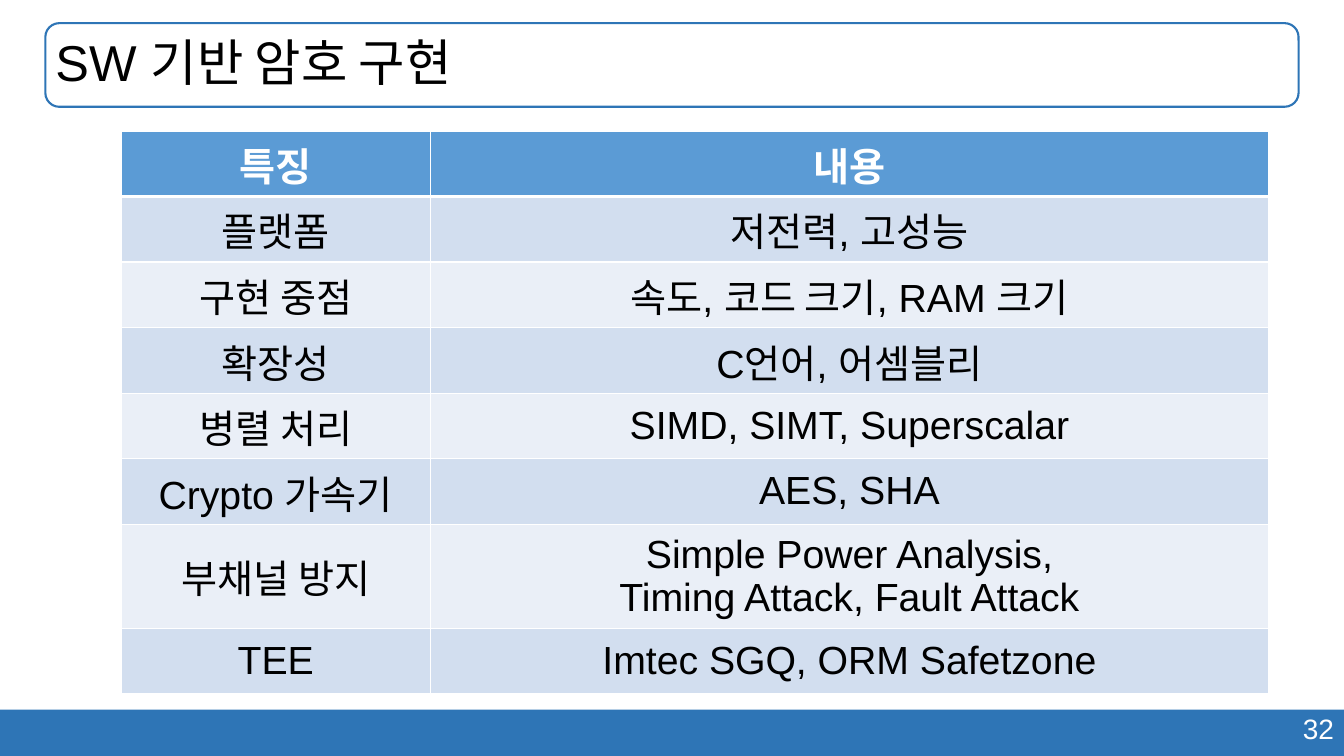
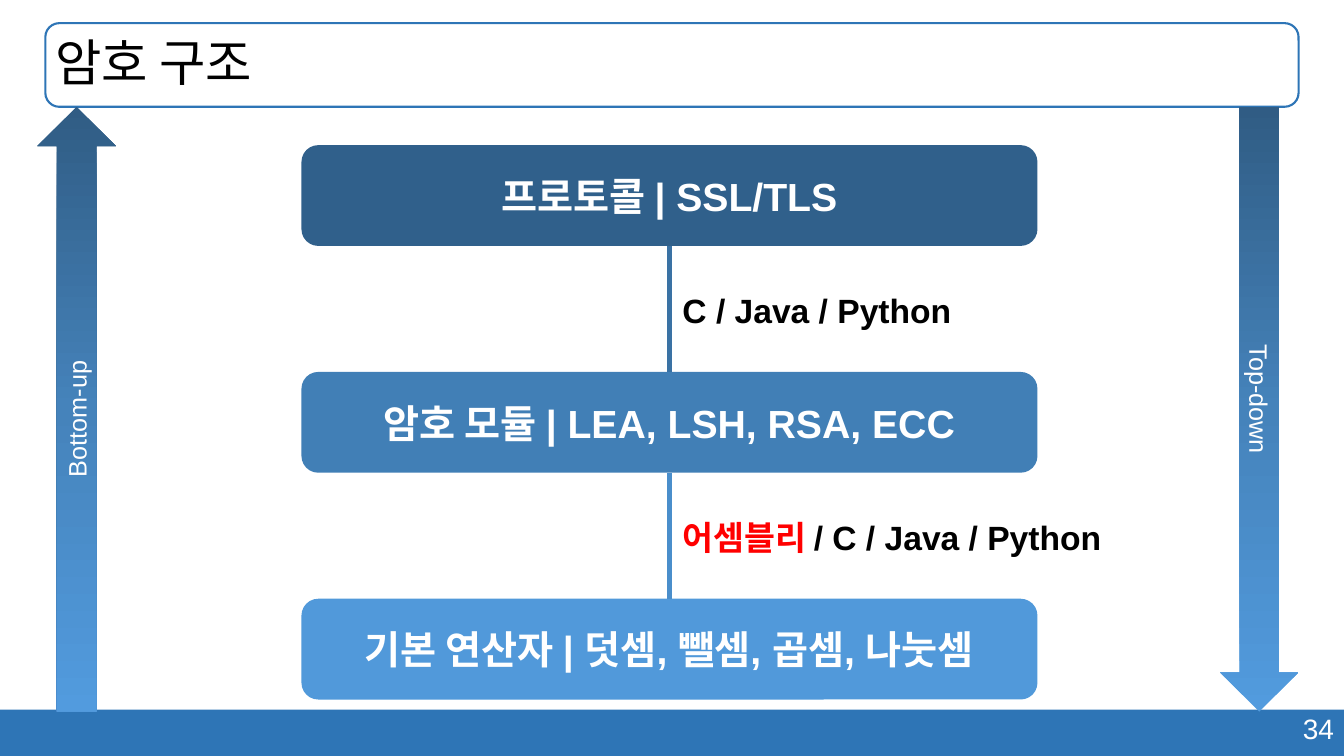
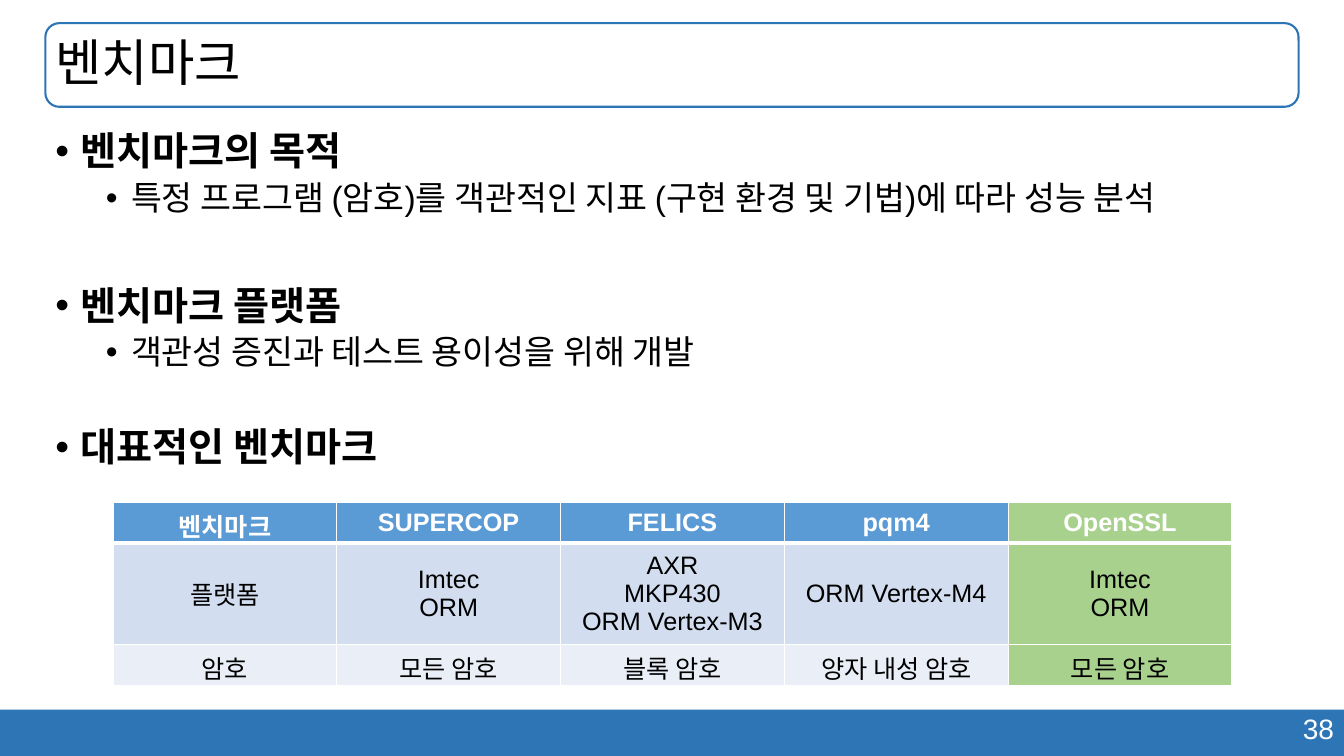
from dataclasses import dataclass
from lxml.etree import SubElement, QName
from pptx import Presentation
from pptx.dml.color import RGBColor as RGB
from pptx.enum.shapes import MSO_SHAPE as Shape, MSO_CONNECTOR as Link
from pptx.enum.text import PP_ALIGN as Align, MSO_ANCHOR as Anchor, MSO_AUTO_SIZE as Fit
from pptx.oxml.ns import qn
from pptx.util import Inches, Pt


@dataclass(frozen=True)
class Theme:
    font: str = "Arial"
    white: str = "FFFFFF"
    black: str = "000000"
    red: str = "FF0000"
    band: str = "2E75B6"
    head: str = "5B9BD5"
    rows: tuple = ("D2DEEF", "EAEFF7")
    mark: str = "A9D18E"
    tiers: tuple = ("30608B", "417FB6", "5199DA")
    links: tuple = ("3A72A4", "4A8ECB")
    fade: tuple = ("305C84", "4583BB", "529BDE")
    title: int = 36
    large: int = 28
    medium: int = 24
    page: int = 20
    small: int = 18


class Deck:
    def __init__(self, theme):
        self.theme = theme
        self.prs = Presentation()
        self.prs.slide_width = Inches(13.33)
        self.prs.slide_height = Inches(7.5)
        self.slide = None

    def style(self, frame, size, color, bold=False, align=Align.LEFT):
        for para in frame.paragraphs:
            para.alignment = align
            for run in para.runs:
                font = run.font
                font.name = self.theme.font
                font.size = Pt(size)
                font.bold = bold
                font.color.rgb = RGB.from_string(color)

    def place(self, item, x, y, w, h):
        item.left, item.top = Inches(x), Inches(y)
        item.width, item.height = Inches(w), Inches(h)

    def page(self, title, number, layout=5):
        t = self.theme
        self.slide = self.prs.slides.add_slide(self.prs.slide_layouts[layout])
        self.shape(Shape.RECTANGLE, 0, 7.04, 13.33, 0.46, t.band)
        self.label([(str(number), t.white)], 9.43, 7.01, 3.9, 0.44, t.page, align=Align.RIGHT)
        edge = self.shape(Shape.ROUNDED_RECTANGLE, 0.45, 0.23, 12.43, 0.83)
        edge.line.color.rgb = RGB.from_string(t.band)
        edge.line.width = Pt(1.5)
        head = self.slide.shapes.title
        self.place(head, 0.45, 0.23, 12.43, 0.83)
        frame = head.text_frame
        frame.text = title
        frame.auto_size = Fit.NONE
        frame.vertical_anchor = Anchor.MIDDLE
        frame.paragraphs[0].line_spacing = 0.9
        self.style(frame, t.title, t.black)

    def shape(self, kind, x, y, w, h, fill=None):
        item = self.slide.shapes.add_shape(kind, Inches(x), Inches(y), Inches(w), Inches(h))
        item.shadow.inherit = False
        item.line.fill.background()
        if fill:
            item.fill.solid()
            item.fill.fore_color.rgb = RGB.from_string(fill)
        else:
            item.fill.background()
        return item

    def tier(self, text, x, y, w, h, fill):
        item = self.shape(Shape.ROUNDED_RECTANGLE, x, y, w, h, fill)
        item.text_frame.text = text
        self.style(item.text_frame, self.theme.large, self.theme.white, True, Align.CENTER)
        return item

    def arrow(self, text, x, turn, colors):
        item = self.shape(Shape.RIGHT_ARROW, x, 3.67, 6, 0.78)
        item.rotation = turn
        item.fill.gradient()
        item.fill.gradient_angle = 180
        stops = item.fill._fill._gradFill.find(qn("a:gsLst"))
        for stop in list(stops):
            stops.remove(stop)
        for pos, color in zip((0, 50000, 100000), colors):
            stop = SubElement(stops, qn("a:gs"), pos=str(pos))
            SubElement(stop, qn("a:srgbClr"), val=color)
        item.text_frame.text = text
        self.style(item.text_frame, self.theme.small, self.theme.white, align=Align.CENTER)

    def link(self, upper, lower, color):
        line = self.slide.shapes.add_connector(Link.STRAIGHT, 0, 0, 0, 0)
        line.begin_connect(upper, 2)
        line.end_connect(lower, 0)
        line.line.color.rgb = RGB.from_string(color)
        line.line.width = Pt(4)
        SubElement(line._element.spPr, qn("a:effectLst"))

    def label(self, parts, x, y, w, h, size, bold=False, align=Align.LEFT):
        box = self.slide.shapes.add_textbox(Inches(x), Inches(y), Inches(w), Inches(h))
        frame = box.text_frame
        frame.word_wrap = True
        para = frame.paragraphs[0]
        para.text = parts[0][0]
        for text, _ in parts[1:]:
            para.add_run().text = text
        self.style(frame, size, self.theme.black, bold, align)
        for run, (_, color) in zip(para.runs, parts):
            run.font.color.rgb = RGB.from_string(color)

    def bullets(self, items, x, y, w, h):
        t = self.theme
        body = self.slide.placeholders[1]
        self.place(body, x, y, w, h)
        frame = body.text_frame
        frame.text = "\n".join(text for text, _, _ in items)
        frame.auto_size = Fit.NONE
        frame.vertical_anchor = Anchor.TOP
        self.style(frame, t.large, t.black, True)
        for para, (_, level, gap) in zip(frame.paragraphs, items):
            para.level = level
            props = para._p.get_or_add_pPr()
            props.set("marL", str(Inches(0.25 + 0.5 * level)))
            props.set("indent", str(-Inches(0.25)))
            SubElement(props, qn("a:buFont"), typeface=t.font)
            SubElement(props, qn("a:buChar"), char="•")
            para.line_spacing = 0.9
            para.space_before = Pt(gap)
            if level:
                para.runs[0].font.size = Pt(t.medium)
                para.runs[0].font.bold = False

    def borders(self, cell, top, bottom):
        props = cell._tc.get_or_add_tcPr()
        for spot, (side, width) in enumerate(zip("LRTB", (1, 1, top, bottom))):
            line = SubElement(props, qn("a:ln" + side), w=str(Pt(width)))
            fill = SubElement(line, qn("a:solidFill"))
            SubElement(fill, qn("a:srgbClr"), val=self.theme.white)
            props.insert(spot, line)

    def table(self, data, x, y, cols, height, size, mark=None):
        t = self.theme
        grid = self.slide.shapes.add_table(
            len(data), len(cols), Inches(x), Inches(y),
            Inches(sum(cols)), Inches(height * len(data))).table
        for col, width in zip(grid.columns, cols):
            col.width = Inches(width)
        for r, texts in enumerate(data):
            grid.rows[r].height = Inches(height)
            for c, text in enumerate(texts):
                cell = grid.cell(r, c)
                cell.text_frame.text = text
                cell.vertical_anchor = Anchor.MIDDLE
                fill = t.rows[(r - 1) % 2] if r else t.head
                cell.fill.solid()
                cell.fill.fore_color.rgb = RGB.from_string(t.mark if c == mark else fill)
                self.borders(cell, 3 if r == 1 else 1, 1 if r else 3)
                self.style(cell.text_frame, size, t.black if r else t.white, r == 0, Align.CENTER)


def traits(deck):
    deck.page("SW 기반 암호 구현", 32)
    deck.table([
        ("특징", "내용"),
        ("플랫폼", "저전력, 고성능"),
        ("구현 중점", "속도, 코드 크기, RAM 크기"),
        ("확장성", "C언어, 어셈블리"),
        ("병렬 처리", "SIMD, SIMT, Superscalar"),
        ("Crypto 가속기", "AES, SHA"),
        ("부채널 방지", "Simple Power Analysis,\nTiming Attack, Fault Attack"),
        ("TEE", "Imtec SGQ, ORM Safetzone"),
    ], 1.2, 1.3, (3.07, 8.31), 0.65, deck.theme.large)


def layers(deck):
    t = deck.theme
    deck.page("암호 구조", 34)
    deck.arrow("Bottom-up", -2.24, 270, t.fade)
    deck.arrow("Top-down", 9.49, 90, t.fade[::-1])
    names = ("프로토콜 | SSL/TLS", "암호 모듈 | LEA, LSH, RSA, ECC",
             "기본 연산자 | 덧셈, 뺄셈, 곱셈, 나눗셈")
    step = 2.25
    tiers = [deck.tier(name, 2.99, 1.44 + step * i, 7.3, 1, t.tiers[i])
             for i, name in enumerate(names)]
    for upper, lower, color in zip(tiers, tiers[1:], t.links):
        deck.link(upper, lower, color)
    tools = ([("C / Java / Python", t.black)],
             [("어셈블리 ", t.red), ("/ C / Java / Python", t.black)])
    for i, parts in enumerate(tools):
        deck.label(parts, 6.67, 2.83 + step * i, 4.79, 0.5, t.medium, True)


def marks(deck):
    deck.page("벤치마크", 38, 1)
    deck.bullets([
        ("벤치마크의 목적", 0, 0),
        ("특정 프로그램 (암호)를 객관적인 지표 (구현 환경 및 기법)에 따라 성능 분석", 1, 5),
        ("벤치마크 플랫폼", 0, 49),
        ("객관성 증진과 테스트 용이성을 위해 개발", 1, 5),
        ("대표적인 벤치마크", 0, 40),
    ], 0.45, 1.26, 12.43, 5.53)
    deck.table([
        ("벤치마크", "SUPERCOP", "FELICS", "pqm4", "OpenSSL"),
        ("플랫폼", "Imtec\nORM", "AXR\nMKP430\nORM Vertex-M3", "ORM Vertex-M4", "Imtec\nORM"),
        ("암호", "모든 암호", "블록 암호", "양자 내성 암호", "모든 암호"),
    ], 1.12, 4.98, (2.22,) * 5, 0.41, deck.theme.small, 4)


def main():
    deck = Deck(Theme())
    for build in (traits, layers, marks):
        build(deck)
    deck.prs.save("out.pptx")


if __name__ == "__main__":
    main()
